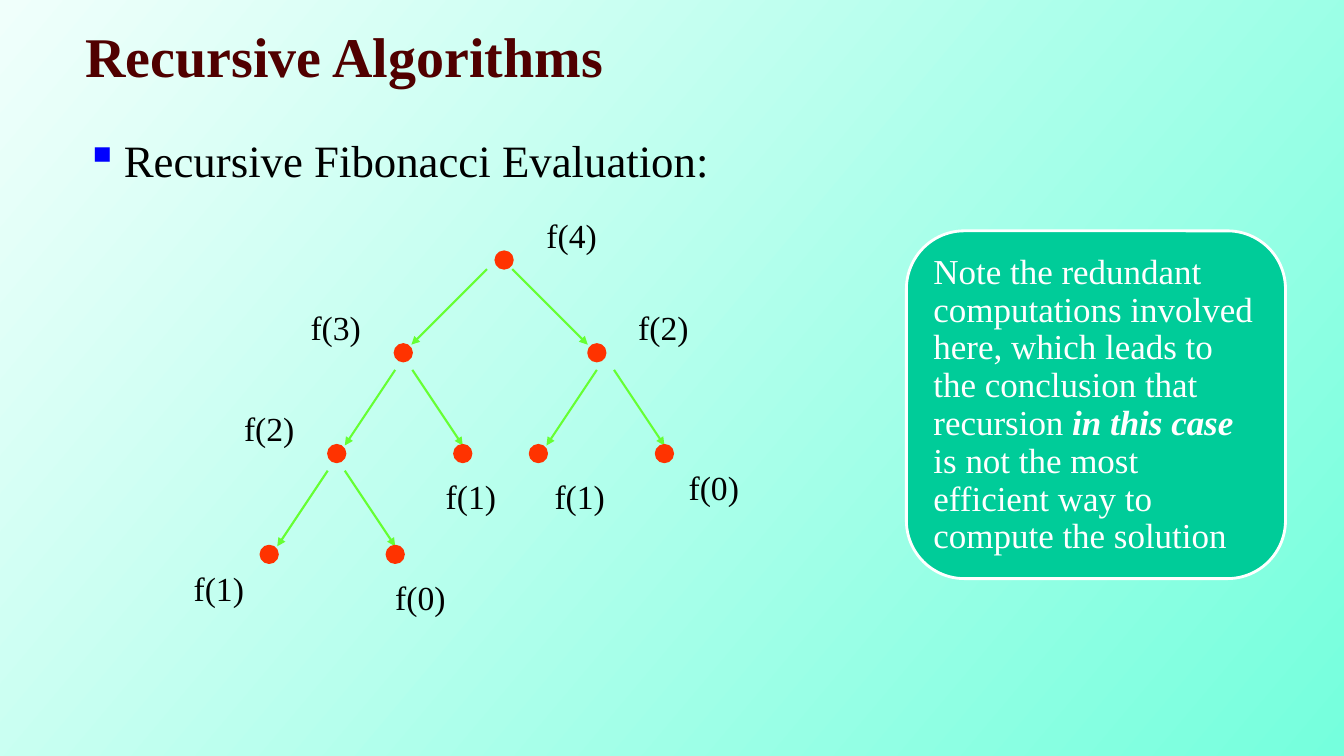
from lxml.etree import SubElement
from pptx import Presentation
from pptx.dml.color import RGBColor
from pptx.enum.shapes import MSO_CONNECTOR, MSO_SHAPE
from pptx.enum.text import MSO_ANCHOR, PP_ALIGN
from pptx.oxml.ns import qn
from pptx.util import Inches, Pt

TITLE = "Recursive Algorithms"
POINT = "Recursive Fibonacci Evaluation:"
NOTE = [
    ("Note the redundant computations involved here, which leads to "
     "the conclusion that recursion ", False),
    ("in this case ", True),
    ("is not the most efficient way to compute the solution", False),
]
# call, dot centre, label corner
CALLS = [
    ("f(4)", (5, 2.58), (5.17, 2.08)),
    ("f(3)", (4, 3.5), (2.83, 3)),
    ("f(2)", (5.92, 3.5), (6.08, 3)),
    ("f(2)", (3.34, 4.5), (2.17, 4)),
    ("f(1)", (4.59, 4.5), (4.17, 4.67)),
    ("f(1)", (5.34, 4.5), (5.25, 4.67)),
    ("f(0)", (6.59, 4.5), (6.58, 4.58)),
    ("f(1)", (2.67, 5.5), (1.67, 5.58)),
    ("f(0)", (3.92, 5.5), (3.67, 5.67)),
]
# left start, right start, top, sideways run
FORKS = [
    (4.83, 5.08, 2.67, 0.75),
    (3.92, 4.09, 3.67, 0.5),
    (5.92, 6.09, 3.67, 0.5),
    (3.25, 3.42, 4.67, 0.5),
]
DROP, DOT = 0.75, 0.17
FONT = "Times New Roman"


def color(code):
    return RGBColor.from_string(code)


def style(para, size, code, bold=None):
    font = para.font
    font.name, font.size, font.bold = FONT, Pt(size), bold
    font.color.rgb = color(code)


def add_text(slide, box, text, size, code="000000", bold=None):
    frame = slide.shapes.add_textbox(*map(Inches, box)).text_frame
    frame.word_wrap = True
    para = frame.paragraphs[0]
    para.text = text
    style(para, size, code, bold)
    return frame


def add_shape(slide, kind, box, fill, line, width):
    shape = slide.shapes.add_shape(kind, *map(Inches, box))
    shape.shadow.inherit = False
    shape.fill.solid()
    shape.fill.fore_color.rgb = color(fill)
    shape.line.color.rgb = color(line)
    shape.line.width = Pt(width)


def add_arrow(slide, *ends):
    arrow = slide.shapes.add_connector(MSO_CONNECTOR.STRAIGHT, *map(Inches, ends))
    arrow.line.color.rgb = color("66FF33")
    arrow.line.width = Pt(1.5)
    props = arrow._element.spPr
    SubElement(props.find(qn("a:ln")), qn("a:tailEnd"), type="triangle")
    SubElement(props, qn("a:effectLst"))


def add_head(slide):
    frame = add_text(slide, (0.75, 0.17, 9, 0.75), TITLE, 40, "500000", True)
    frame.vertical_anchor = MSO_ANCHOR.MIDDLE
    frame = add_text(slide, (0.75, 1.27, 9.58, 0.58), POINT, 32)
    props = frame.paragraphs[0]._p.get_or_add_pPr()
    props.set("marL", str(Inches(0.38)))
    props.set("indent", str(Inches(-0.38)))
    tint = SubElement(props, qn("a:buClr"))
    SubElement(tint, qn("a:srgbClr"), val="0000FF")
    SubElement(props, qn("a:buChar"), char="▪")
    props.append(props.find(qn("a:defRPr")))


def add_tree(slide):
    for left, right, top, run in FORKS:
        add_arrow(slide, left, top, left - run, top + DROP)
        add_arrow(slide, right, top, right + run, top + DROP)
    for call, (x, y), spot in CALLS:
        box = (x - DOT / 2, y - DOT / 2, DOT, DOT)
        add_shape(slide, MSO_SHAPE.FLOWCHART_CONNECTOR, box, "FF3300", "FF3300", 1.5)
        frame = add_text(slide, (*spot, 1, 0.51), call, 24)
        frame.paragraphs[0].alignment = PP_ALIGN.CENTER


def add_note(slide):
    add_shape(slide, MSO_SHAPE.ROUNDED_RECTANGLE, (8.99, 2.29, 3.76, 3.45),
              "00CC99", "FFFFFF", 2)
    frame = add_text(slide, (9.16, 2.46, 3.42, 3.12), "", 25, "FFFFFF")
    frame.vertical_anchor = MSO_ANCHOR.MIDDLE
    frame.margin_top = frame.margin_bottom = Inches(0.1)
    para = frame.paragraphs[0]
    para.line_spacing = 0.9
    for text, strong in NOTE:
        run = para.add_run()
        run.text = text
        run.font.bold = run.font.italic = strong


def main():
    """Build the slide on the Fibonacci call tree."""
    deck = Presentation()
    deck.slide_width, deck.slide_height = Inches(13.33), Inches(7.5)
    slide = deck.slides.add_slide(deck.slide_layouts[6])
    fill = slide.background.fill
    fill.gradient()
    fill.gradient_angle = 320
    for stop, code in zip(fill.gradient_stops, ("F0FFFB", "75FFDD")):
        stop.color.rgb = color(code)
    add_head(slide)
    add_tree(slide)
    add_note(slide)
    deck.save("out.pptx")


if __name__ == "__main__":
    main()
